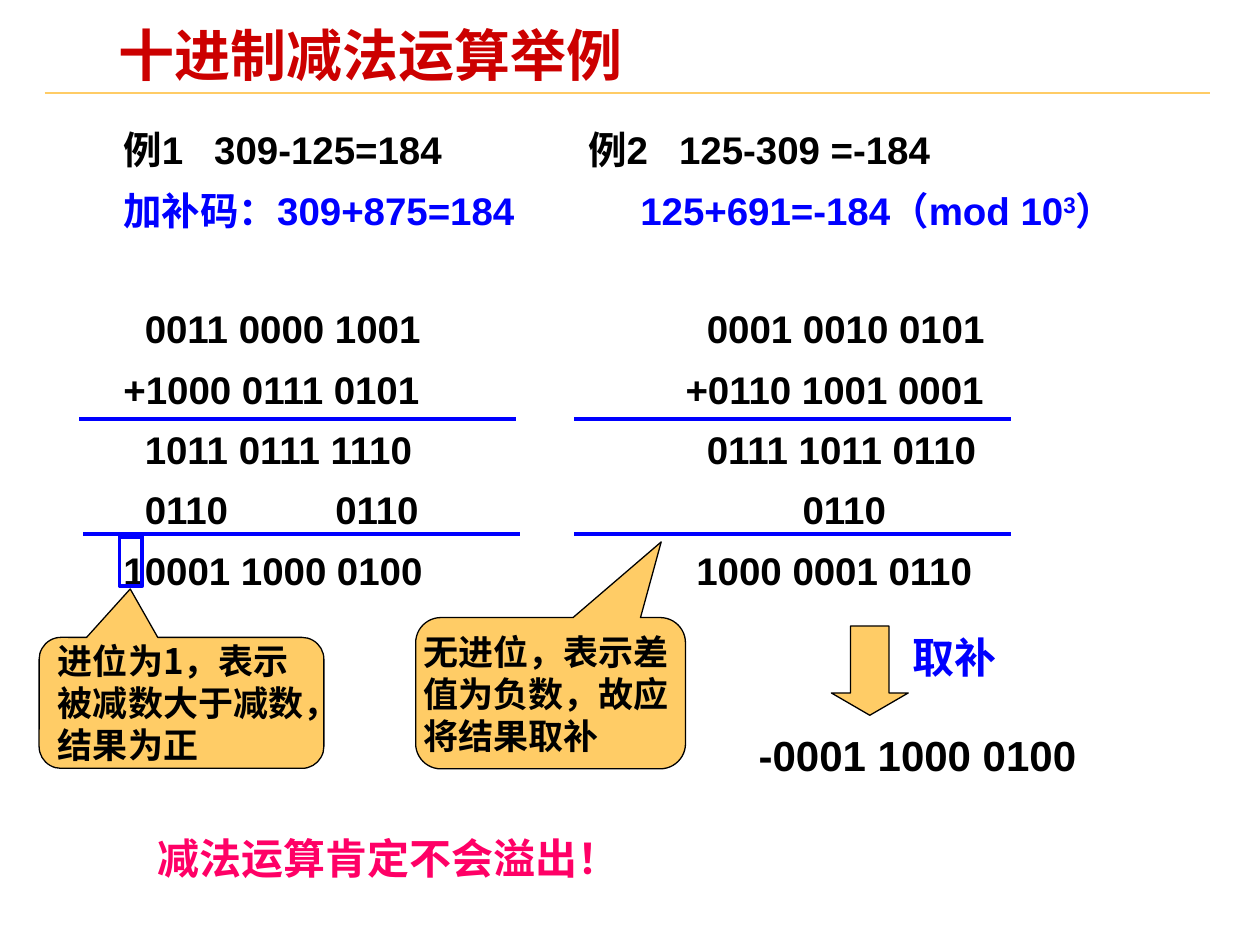
from lxml import etree
from pptx import Presentation
from pptx.dml.color import RGBColor
from pptx.enum.shapes import MSO_CONNECTOR, MSO_SHAPE
from pptx.enum.text import MSO_ANCHOR, PP_ALIGN
from pptx.oxml.ns import qn
from pptx.util import Cm, Pt

BLACK, BLUE, RED, PINK, GOLD = "000000", "0000FF", "CC0000", "FF0066", "FFCC66"
CJK_FONT = "Noto Sans CJK SC"
ROW_PITCH = 34.5  # points between the rows of an example


def color(hex_string):
    return RGBColor.from_string(hex_string)


def add_paragraph(text_frame, text, *, size, fill=BLACK, font="Arial", align=PP_ALIGN.LEFT,
                  spacing=None, tabs=()):
    """Append one paragraph; the parts between ^ marks are superscript."""
    paragraph = text_frame.paragraphs[0]
    if paragraph.runs:
        paragraph = text_frame.add_paragraph()
    if tabs:
        tab_list = etree.SubElement(paragraph._p.get_or_add_pPr(), qn("a:tabLst"))
        for stop in tabs:
            etree.SubElement(tab_list, qn("a:tab"), pos=str(Cm(stop)), algn="l")
    paragraph.alignment = align
    if spacing:
        paragraph.line_spacing = spacing
    for index, part in enumerate(text.split("^")):
        run = paragraph.add_run()
        run.text = part
        run.font.size = Pt(size)
        run.font.bold = True
        run.font.color.rgb = color(fill)
        run.font.name = font
        properties = run.font._element
        etree.SubElement(properties, qn("a:ea"), typeface=CJK_FONT)
        if index % 2:
            properties.set("baseline", "30000")


def set_frame(text_frame, margin_x, margin_y, anchor=MSO_ANCHOR.TOP, wrap=True):
    text_frame.word_wrap = wrap
    text_frame.vertical_anchor = anchor
    text_frame.margin_left = text_frame.margin_right = Cm(margin_x)
    text_frame.margin_top = text_frame.margin_bottom = Cm(margin_y)
    return text_frame


def add_text_box(slide, left, top, width, height, margins=(0.25, 0.13), **options):
    box = slide.shapes.add_textbox(Cm(left), Cm(top), Cm(width), Cm(height))
    return set_frame(box.text_frame, *margins, **options)


def add_line(slide, left, top, width, stroke, weight):
    line = slide.shapes.add_connector(
        MSO_CONNECTOR.STRAIGHT, Cm(left), Cm(top), Cm(left + width), Cm(top))
    line.line.color.rgb = color(stroke)
    line.line.width = Pt(weight)
    etree.SubElement(line._element.spPr, qn("a:effectLst"))


def add_outlined_shape(slide, kind, left, top, width, height, *, fill=GOLD, stroke=BLACK,
                       weight=0.75, adjustments=()):
    shape = slide.shapes.add_shape(kind, Cm(left), Cm(top), Cm(width), Cm(height))
    shape.shadow.inherit = False
    if fill:
        shape.fill.solid()
        shape.fill.fore_color.rgb = color(fill)
    else:
        shape.fill.background()
    shape.line.color.rgb = color(stroke)
    shape.line.width = Pt(weight)
    for index, value in enumerate(adjustments):
        shape.adjustments[index] = value
    return shape


def add_rows(slide, left, top, width, rows):
    """Evenly pitched rows; each is (colour, [(offset, text), ...])."""
    frame = add_text_box(slide, left, top, width, len(rows) * 1.22 + 0.15, margins=(0.18, 0.08))
    for fill, cells in rows:
        text = "".join(("\t" if offset else "") + words for offset, words in cells)
        add_paragraph(frame, text, size=22, fill=fill, spacing=Pt(ROW_PITCH),
                      tabs=[offset for offset, _ in cells if offset])


def add_title(slide, left, top, width, height):
    frame = add_text_box(slide, left, top, width, height, margins=(0.18, 0.08),
                         anchor=MSO_ANCHOR.MIDDLE)
    add_paragraph(frame, "十进制减法运算举例", size=32, fill=RED, spacing=0.87)
    add_line(slide, 0.9, top + 1.35, 23.5, GOLD, 1)


def add_example(slide, left, top, width, heading, complement, sum_shift, sums, rule_shifts):
    # Heading and complement equation
    add_rows(slide, left, top, width, [(BLACK, heading), (BLUE, complement)])
    # Binary addition with its two rules
    add_rows(slide, left + sum_shift, top + 3.61, 8.4, [(BLACK, cells) for cells in sums])
    for index, shift in enumerate(rule_shifts):
        add_line(slide, left + shift, top + 6.27 + 2.31 * index, 8.81, BLUE, 2.25)


def add_callout(slide, left, top, width, height, text, pointer, margin, font):
    shape = add_outlined_shape(slide, MSO_SHAPE.ROUNDED_RECTANGULAR_CALLOUT, left, top,
                               width, height, adjustments=(*pointer, 0.167))
    frame = set_frame(shape.text_frame, margin, 0.13, anchor=MSO_ANCHOR.MIDDLE)
    add_paragraph(frame, text, size=20, font=font)


def add_complement_step(slide, left, top):
    # Arrow, its label and the final result
    add_outlined_shape(slide, MSO_SHAPE.DOWN_ARROW, left + 1.72, top, 1.55, 1.8,
                       adjustments=(0.5, 0.29))
    label = add_text_box(slide, left + 2.79, top - 0.02, 2.82, 1.27)
    add_paragraph(label, "取补", size=24, fill=BLUE, font="Times New Roman",
                  align=PP_ALIGN.CENTER)
    result = add_text_box(slide, left, top + 1.96, 6.91, 1.27, wrap=False)
    add_paragraph(result, "-0001 1000 0100", size=24, align=PP_ALIGN.CENTER)


def main():
    presentation = Presentation()
    presentation.slide_width, presentation.slide_height = Cm(25.4), Cm(19.05)
    slide = presentation.slides.add_slide(presentation.slide_layouts[6])

    add_title(slide, 2.2, 0.53, 16.87, 1.32)

    add_example(
        slide, 2.31, 2.18, 9.3,
        heading=[(0, "例1"), (1.83, "309-125=184")],
        complement=[(0, "加补码：309+875=184")],
        sum_shift=0,
        sums=[[(0.43, "0011 0000 1001")],
              [(0, "+1000 0111 0101")],
              [(0.43, "1011 0111 1110")],
              [(0.43, "0110"), (4.27, "0110")],
              [(0, "10001 1000 0100")]],
        rule_shifts=(-0.71, -0.63))
    add_example(
        slide, 11.68, 2.18, 12.7,
        heading=[(0, "例2"), (1.83, "125-309 =-184")],
        complement=[(1.05, "125+691=-184（mod 10^3^）")],
        sum_shift=1.96,
        sums=[[(0.43, "0001 0010 0101")],
              [(0, "+0110 1001 0001")],
              [(0.43, "0111 1011 0110")],
              [(2.36, "0110")],
              [(0.22, "1000 0001 0110")]],
        rule_shifts=(-0.1, -0.1))

    # Frame around the carry digit
    add_outlined_shape(slide, MSO_SHAPE.RECTANGLE, 2.41, 10.82, 0.46, 0.99,
                       fill=None, stroke=BLUE, weight=2.25)

    add_callout(slide, 0.79, 12.85, 5.74, 2.64, "进位为1，表示被减数大于减数，结果为正",
                pointer=(-0.18, -0.87), margin=0.25, font=CJK_FONT)
    add_callout(slide, 8.38, 12.45, 5.44, 3.05, "无进位，表示差值为负数，故应将结果取补",
                pointer=(0.41, -1), margin=0, font="Times New Roman")
    add_complement_step(slide, 15.04, 12.62)

    # Conclusion
    conclusion = add_text_box(slide, 2.92, 16.66, 10.16, 1.27)
    add_paragraph(conclusion, "减法运算肯定不会溢出！", size=24, fill=PINK, font=CJK_FONT)

    presentation.save("out.pptx")


if __name__ == "__main__":
    main()
